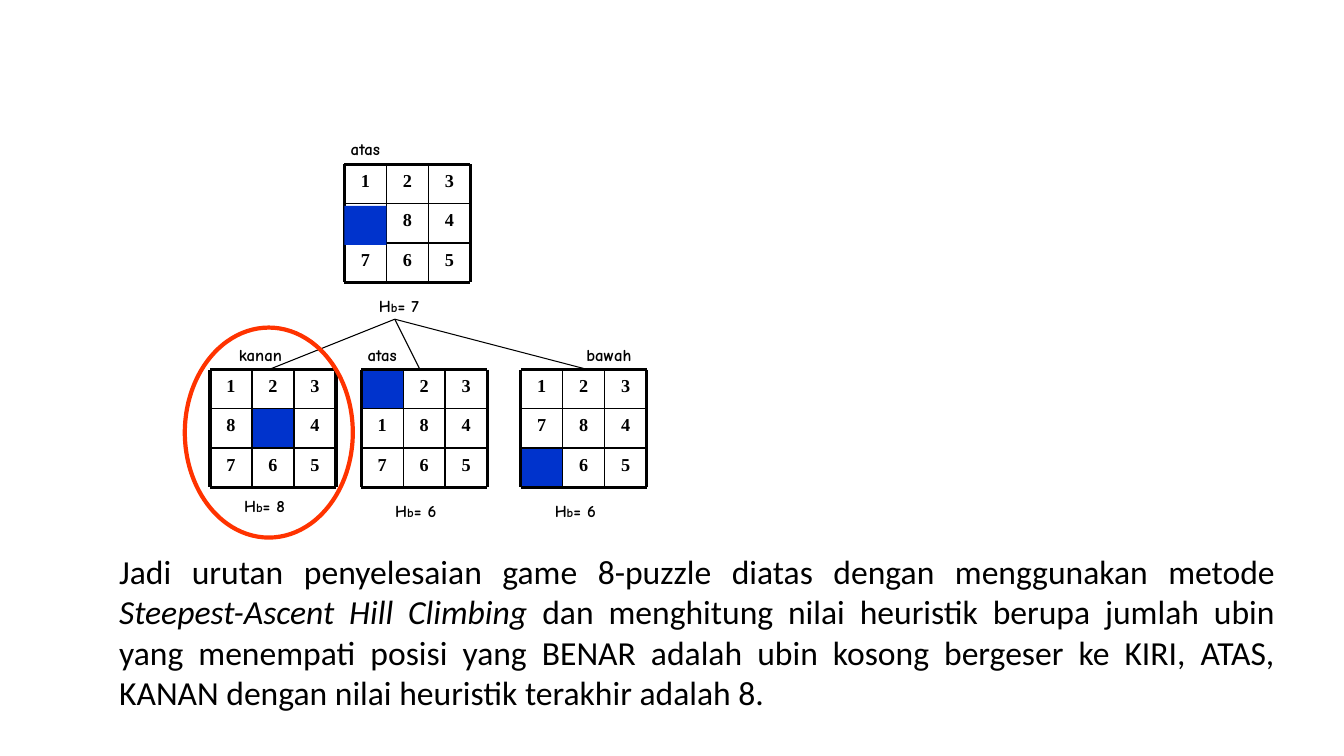
from pptx import Presentation
from pptx.dml.color import RGBColor
from pptx.enum.shapes import MSO_CONNECTOR, MSO_SHAPE
from pptx.enum.text import MSO_AUTO_SIZE, PP_ALIGN
from pptx.oxml.ns import qn
from pptx.util import Pt
from lxml.etree import SubElement

BLACK, BLUE, RED = "000000", "0033CC", "FF3300"
CELL_WIDTH, CELL_HEIGHT = 30, 28
GRID_WIDTH, GRID_HEIGHT = 3 * CELL_WIDTH, 3 * CELL_HEIGHT
CAPTION_HEIGHT = 21.6

# rows, left, top, move, move offset, move width, score, score offset, blank drop
PUZZLES = [
    (("123", " 84", "765"), 246, 117.5, "atas", -12, 54, 7, 90, 1.5),
    (("123", "8 4", "765"), 150, 264, "kanan", 6, 60, 8, 86.5, 0),
    ((" 23", "184", "765"), 258, 264, "atas", -12, 54, 6, 90, 0),
    (("123", "784", " 65"), 372, 264, "bawah", 36, 54, 6, 90, 0),
]


def color(value):
    return RGBColor.from_string(value)


def add_text(slide, box, runs, font_name, size, alignment, bold=False, grow=True):
    shape = slide.shapes.add_textbox(*map(Pt, box))
    frame = shape.text_frame
    frame.word_wrap = True
    frame.auto_size = MSO_AUTO_SIZE.SHAPE_TO_FIT_TEXT if grow else MSO_AUTO_SIZE.NONE
    paragraph = frame.paragraphs[0]
    paragraph.alignment = alignment
    paragraph.font.name = font_name
    paragraph.font.size = Pt(size)
    paragraph.font.bold = bold
    paragraph.font.color.rgb = color(BLACK)
    for text in runs:
        paragraph.add_run().text = text
    return paragraph


def add_line(slide, start, end, width):
    line = slide.shapes.add_connector(MSO_CONNECTOR.STRAIGHT, *map(Pt, (*start, *end)))
    line.line.color.rgb = color(BLACK)
    line.line.width = Pt(width)
    SubElement(line._element.spPr, qn("a:effectLst"))


def add_blank_tile(slide, box):
    tile = slide.shapes.add_shape(MSO_SHAPE.RECTANGLE, *map(Pt, box))
    tile.shadow.inherit = False
    tile.fill.solid()
    tile.fill.fore_color.rgb = color(BLUE)
    tile.line.fill.background()


def add_tiles(slide, rows, left, top):
    for row, digits in enumerate(rows):
        for column, digit in enumerate(digits):
            box = (left + column * CELL_WIDTH, top + row * CELL_HEIGHT, CELL_WIDTH, CELL_HEIGHT)
            if digit == " ":
                blank_box = box
            else:
                add_text(slide, box, [digit], "Times New Roman", 13, PP_ALIGN.CENTER, True, False)
    return blank_box


def add_grid_lines(slide, left, top):
    for index in range(4):
        width = 2.25 if index in (0, 3) else 1
        x, y = left + index * CELL_WIDTH, top + index * CELL_HEIGHT
        add_line(slide, (left, y), (left + GRID_WIDTH, y), width)
        add_line(slide, (x, top), (x, top + GRID_HEIGHT), width)


def add_puzzle(slide, rows, left, top, move, move_offset, move_width,
               score, score_offset, blank_drop):
    x, y, width, height = add_tiles(slide, rows, left, top)
    if blank_drop:
        add_grid_lines(slide, left, top)
        add_blank_tile(slide, (x, y + blank_drop, width, height))
    else:
        add_blank_tile(slide, (x, y, width, height))
        add_grid_lines(slide, left, top)
    move_box = (left + move_offset, top - CAPTION_HEIGHT, move_width, CAPTION_HEIGHT)
    add_text(slide, move_box, [move], "Comic Neue", 12, PP_ALIGN.CENTER, True)
    score_box = (left + 6, top + score_offset, 66, CAPTION_HEIGHT)
    paragraph = add_text(slide, score_box, ["H", "b", f"= {score}"],
                         "Comic Neue", 12, PP_ALIGN.CENTER, True)
    paragraph.runs[1].font.size = Pt(9)


def add_branches(slide, start, end_top, end_lefts):
    for end_left in end_lefts:
        add_line(slide, start, (end_left, end_top), 0.75)


def add_highlight(slide, box):
    ellipse = slide.shapes.add_shape(MSO_SHAPE.OVAL, *map(Pt, box))
    ellipse.shadow.inherit = False
    ellipse.fill.background()
    ellipse.line.color.rgb = color(RED)
    ellipse.line.width = Pt(3)


def add_conclusion(slide, box):
    runs = [
        "Jadi urutan penyelesaian game 8-puzzle diatas dengan menggunakan metode ",
        "Steepest-Ascent Hill Climbing ",
        "dan menghitung nilai heuristik berupa jumlah ubin yang menempati posisi yang "
        "BENAR adalah ubin kosong bergeser ke KIRI, ATAS, KANAN dengan nilai heuristik "
        "terakhir adalah 8.",
    ]
    paragraph = add_text(slide, box, runs, "Calibri", 24, PP_ALIGN.JUSTIFY)
    paragraph.runs[1].font.italic = True


def main():
    presentation = Presentation()
    presentation.slide_width = Pt(960)
    presentation.slide_height = Pt(540)
    slide = presentation.slides.add_slide(presentation.slide_layouts[6])
    for puzzle in PUZZLES:
        add_puzzle(slide, *puzzle)
    add_branches(slide, (282, 228), 264, (192, 300, 420))
    add_highlight(slide, (132, 234, 120, 150))
    add_conclusion(slide, (78, 390, 840, 124))
    presentation.save("out.pptx")


if __name__ == "__main__":
    main()
